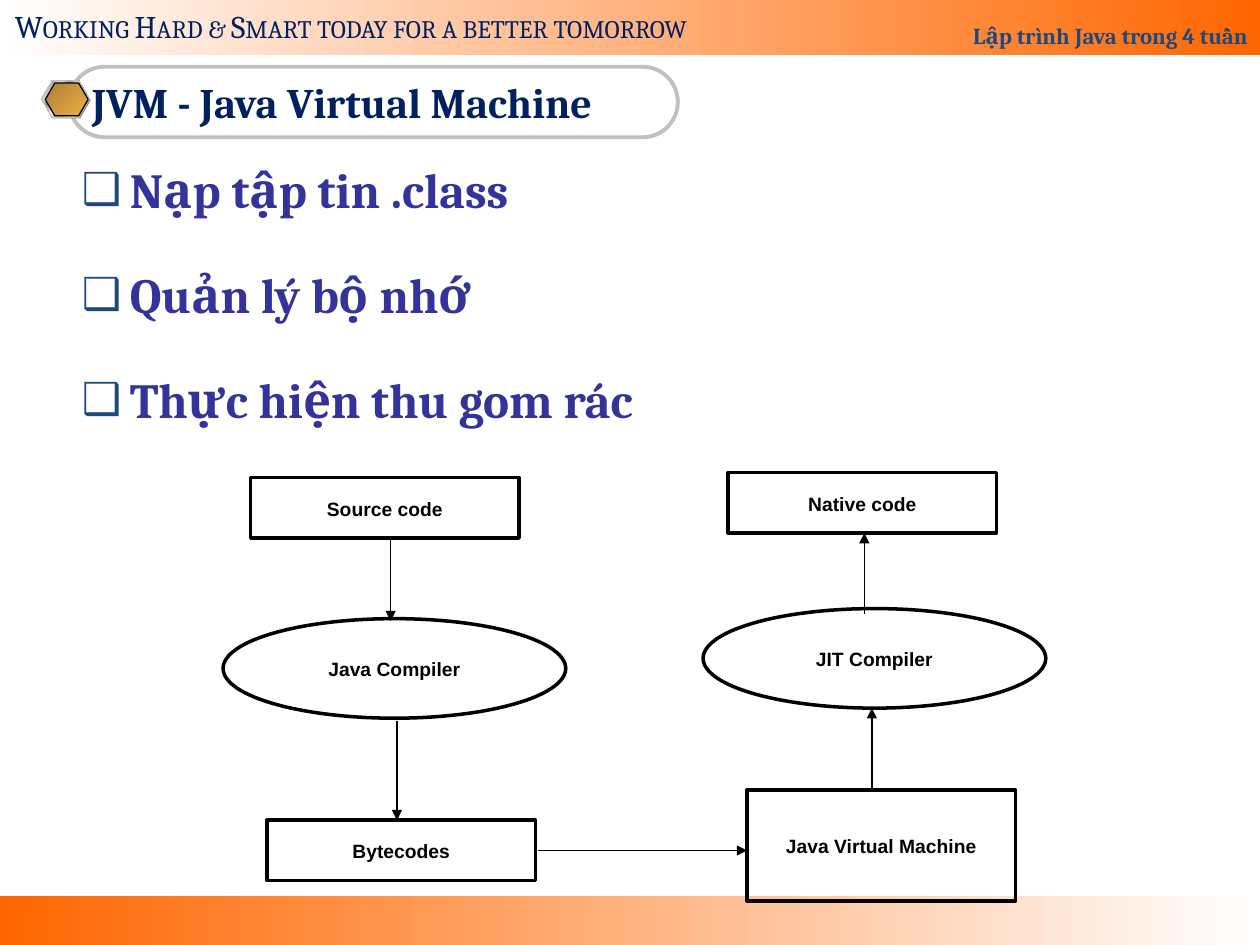
from lxml import etree
from pptx import Presentation
from pptx import util as u
from pptx.dml.color import RGBColor
from pptx.enum import shapes, text
from pptx.oxml.ns import qn

# The grid has 100 columns and 75 rows of equal size
WIDTH, HEIGHT = u.Inches(10), u.Inches(7.5)
CELL = WIDTH / 100
NAVY, BLUE, INDIGO = "002060", "1F497D", "333399"
ORANGE, WHITE, SILVER, BLACK = "FF6600", "FFFFFF", "C0C0C0", "000000"
KIND = shapes.MSO_SHAPE


def cells(*lengths):
    return [u.Emu(round(length * CELL)) for length in lengths]


def color(value):
    return RGBColor.from_string(value)


def add_xml(parent, tag, **attributes):
    return etree.SubElement(parent, qn(tag), attributes)


def set_gradient(shape, stops, angle=0):
    """Fill with (percent, colour) stops, the angle running clockwise."""
    shape.fill.gradient()
    shape.fill.gradient_angle = -angle % 360
    stop_list = shape._element.spPr.find(qn("a:gradFill")).find(qn("a:gsLst"))
    stop_list.clear()
    for percent, value in stops:
        stop = add_xml(stop_list, "a:gs", pos=str(percent * 1000))
        add_xml(stop, "a:srgbClr", val=value)


def add_figure(slide, kind, place, fill=None, line=None, weight=0.75):
    shape = slide.shapes.add_shape(kind, *cells(*place))
    shape.shadow.inherit = False
    if fill:
        shape.fill.solid()
        shape.fill.fore_color.rgb = color(fill)
    else:
        shape.fill.background()
    if line:
        shape.line.color.rgb = color(line)
        shape.line.width = u.Pt(weight)
    else:
        shape.line.fill.background()
    return shape


def write(shape, words, size, value, font="Cambria", bold=True, align="LEFT",
          anchor="MIDDLE", spacing=1.0):
    frame = shape.text_frame
    frame.text = words
    frame.auto_size = text.MSO_AUTO_SIZE.NONE
    frame.vertical_anchor = text.MSO_ANCHOR[anchor]
    for paragraph in frame.paragraphs:
        paragraph.alignment = text.PP_ALIGN[align]
        paragraph.line_spacing = spacing
        for run in paragraph.runs:
            run.font.name, run.font.size = font, u.Pt(size)
            run.font.bold = bold
            run.font.color.rgb = color(value)
    return frame


def place_shape(shape, place):
    shape.left, shape.top, shape.width, shape.height = cells(*place)


def add_bands(slide):
    header = add_figure(slide, KIND.RECTANGLE, (0, 0, 100, 4.4))
    set_gradient(header, [(0, WHITE), (100, ORANGE)])
    write(header, "Lập trình Java trong 4 tuần", 13, BLUE,
          align="RIGHT", anchor="BOTTOM", spacing=1.8)
    footer = add_figure(slide, KIND.RECTANGLE, (0, 71.1, 100, 3.9))
    set_gradient(footer, [(0, ORANGE), (100, WHITE)])

    motto = slide.shapes.add_textbox(*cells(0.2, 0.1, 59, 4))
    frame = write(motto, "Working Hard & Smart today for a better tomorrow",
                  18, NAVY, bold=False, anchor="TOP")
    frame.word_wrap = False
    frame.paragraphs[0].runs[0].font._element.set("cap", "small")


def add_title(slide):
    pill = add_figure(slide, KIND.ROUNDED_RECTANGLE, (5.5, 5.3, 48.3, 5.6),
                      line=SILVER, weight=2.25)
    pill.adjustments[0] = 0.5
    title = slide.shapes.title
    place_shape(title, (7.3, 5.3, 46, 5.6))
    frame = write(title, "JVM - Java Virtual Machine", 24, NAVY)
    frame.margin_left = frame.margin_right = 0

    # Hexagon badge: shade, metal rim, gold face
    light, dark = "E6E6E6", "7D8496"
    metal = [(0, light), (7, dark), (26, light), (34, dark), (46, light),
             (50, WHITE), (54, light), (66, dark), (74, light), (93, dark),
             (100, light)]
    gold = [(0, "AB7E34"), (100, "EFB049")]
    layers = [((3.4, 6.5, 3.8, 2.9), None, None),
              ((3.3, 6.4, 3.8, 2.9), metal, SILVER),
              ((3.6, 6.6, 3.4, 2.6), gold, BLACK)]
    for place, stops, line in layers:
        hexagon = add_figure(slide, KIND.HEXAGON, place, "808080", line)
        hexagon.adjustments[0] = 0.289
        if stops:
            set_gradient(hexagon, stops, 45)


def add_bullets(slide, items):
    body = slide.placeholders[1]
    place_shape(body, (5.5, 11, 86.6, 56.7))
    frame = write(body, "\n".join(items), 28, INDIGO, anchor="TOP", spacing=1.25)
    indent = u.Inches(0.38)
    for paragraph in frame.paragraphs:
        paragraph.space_before = u.Pt(18)
        properties = paragraph._p.get_or_add_pPr()
        properties.set("marL", str(indent))
        properties.set("indent", str(-indent))
        add_xml(add_xml(properties, "a:buClr"), "a:srgbClr", val=BLUE)
        add_xml(properties, "a:buSzPct", val="90000")
        add_xml(properties, "a:buFont", typeface="Arial")
        add_xml(properties, "a:buChar", char="❑")


def add_step(slide, kind, words, left, top, width, height):
    shape = add_figure(slide, kind, (left, top, width, height),
                       line=BLACK, weight=2)
    write(shape, words, 11, BLACK, font="Arial", align="CENTER", spacing=1.07)


def add_arrow(slide, *ends):
    arrow = slide.shapes.add_connector(shapes.MSO_CONNECTOR.STRAIGHT, *cells(*ends))
    arrow.line.color.rgb = color(BLACK)
    arrow.line.width = u.Pt(0.75)
    add_xml(arrow.line._get_or_add_ln(), "a:tailEnd", type="triangle")
    add_xml(arrow._element.spPr, "a:effectLst")


def add_flow(slide):
    box, oval = (21.3, 4.8), (27.2, 7.9)
    steps = [(KIND.RECTANGLE, "Source code", 19.9, 37.9, *box),
             (KIND.OVAL, "Java Compiler", 17.7, 49.1, *oval),
             (KIND.RECTANGLE, "Bytecodes", 21.2, 65.1, *box),
             (KIND.RECTANGLE, "Java Virtual Machine", 59.3, 62.7, 21.3, 8.8),
             (KIND.OVAL, "JIT Compiler", 55.8, 48.3, *oval),
             (KIND.RECTANGLE, "Native code", 57.8, 37.5, *box)]
    for step in steps:
        add_step(slide, *step)
    # Arrows follow the flow from source code to native code
    for ends in [(31, 42.8, 31, 49.3), (31.5, 57.2, 31.5, 65.1),
                 (42.7, 67.5, 59.3, 67.5), (69.2, 62.7, 69.2, 56.2),
                 (68.6, 48.7, 68.6, 42.3)]:
        add_arrow(slide, *ends)


def main():
    presentation = Presentation()
    presentation.slide_width, presentation.slide_height = WIDTH, HEIGHT
    slide = presentation.slides.add_slide(presentation.slide_layouts[1])
    add_bands(slide)
    add_title(slide)
    add_bullets(slide, ["Nạp tập tin .class", "Quản lý bộ nhớ",
                        "Thực hiện thu gom rác"])
    add_flow(slide)
    presentation.save("out.pptx")


if __name__ == "__main__":
    main()
